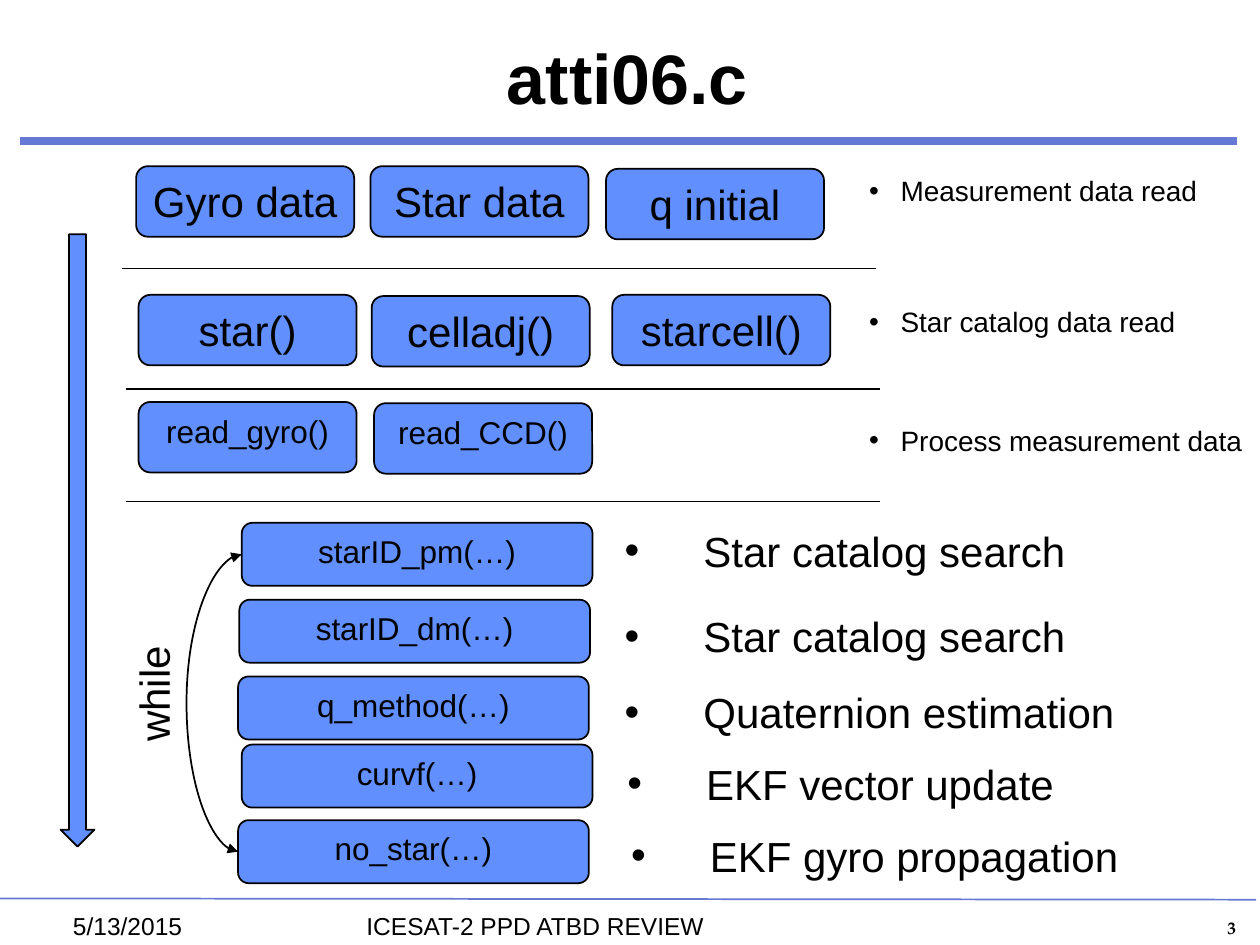
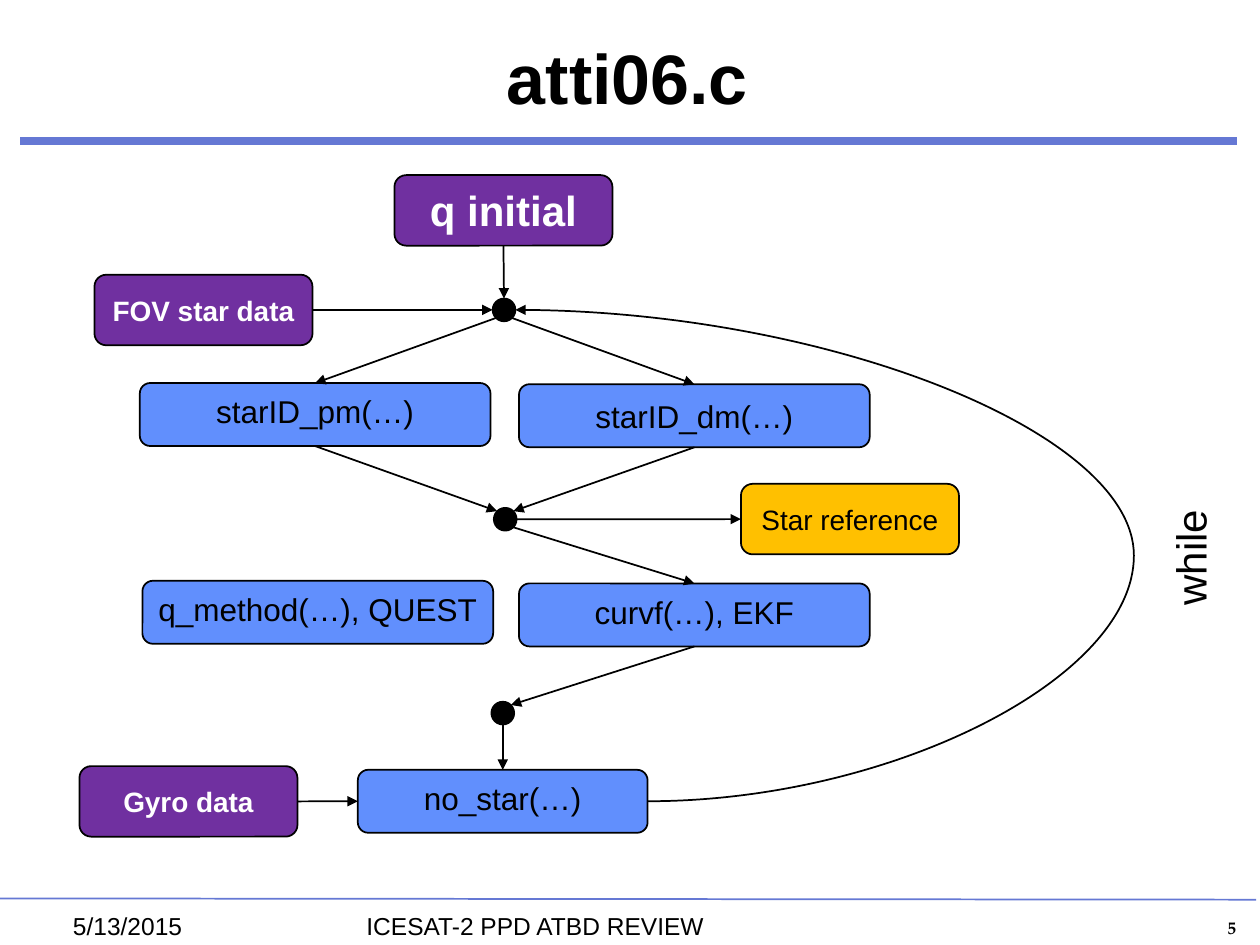
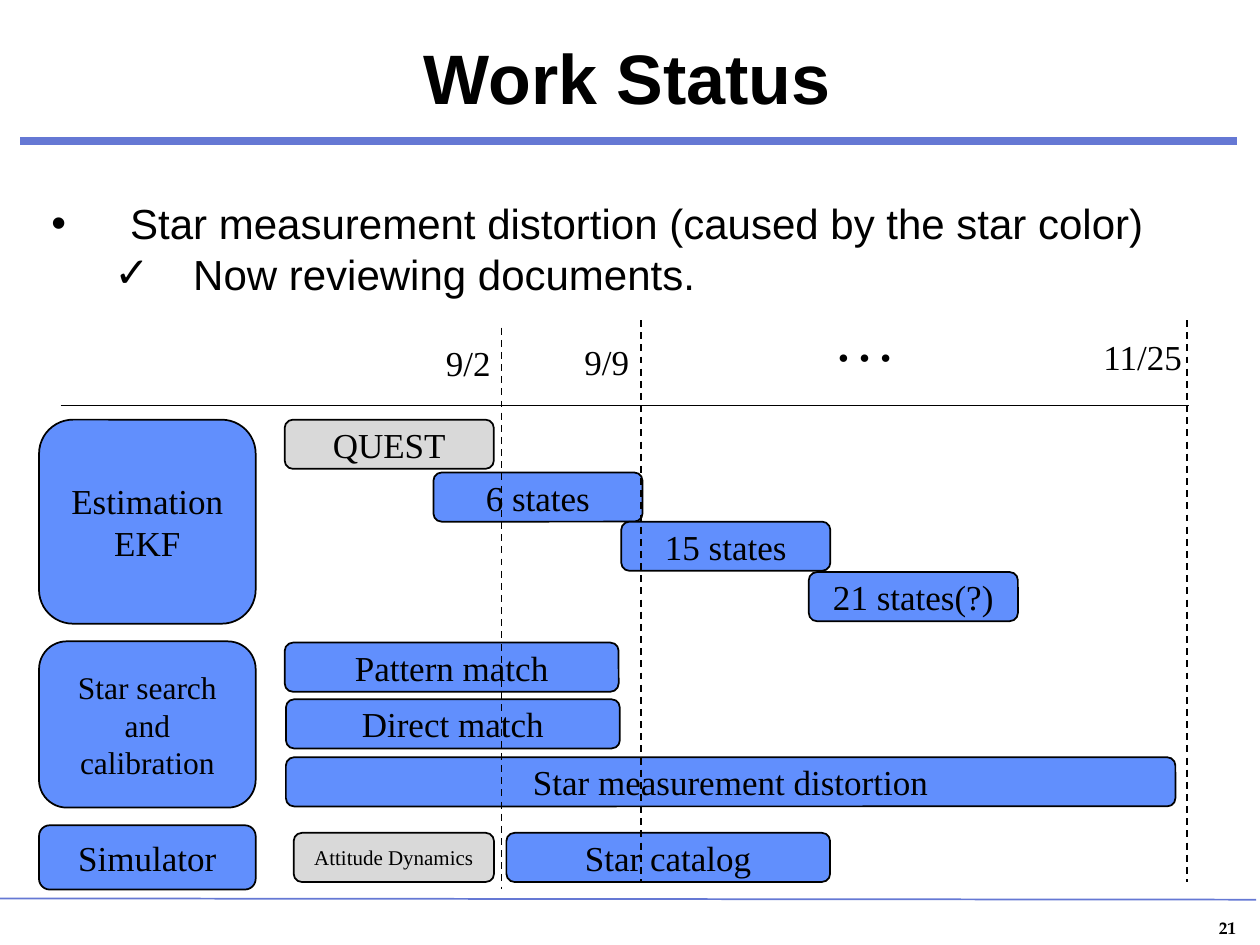
"""Build three slides on the attitude program: stages, flow and work status."""
from dataclasses import dataclass

from lxml import etree
from pptx import Presentation
from pptx.dml.color import RGBColor
from pptx.enum.dml import MSO_LINE
from pptx.enum.shapes import MSO_CONNECTOR, MSO_SHAPE
from pptx.enum.text import MSO_ANCHOR, MSO_AUTO_SIZE, PP_ALIGN
from pptx.oxml.ns import qn
from pptx.util import Pt

ROUNDED, DOT, DOWN = MSO_SHAPE.ROUNDED_RECTANGLE, MSO_SHAPE.OVAL, MSO_SHAPE.DOWN_ARROW
STRAIGHT, CURVE = MSO_CONNECTOR.STRAIGHT, MSO_CONNECTOR.CURVE
LEFT, CENTER, RIGHT = PP_ALIGN.LEFT, PP_ALIGN.CENTER, PP_ALIGN.RIGHT
TOP, MIDDLE = MSO_ANCHOR.TOP, MSO_ANCHOR.MIDDLE


@dataclass(frozen=True)
class Theme:
    black: str = "000000"
    white: str = "FFFFFF"
    band: str = "6578D4"
    blue: str = "618FFD"
    purple: str = "7030A0"
    amber: str = "FFC000"
    grey: str = "D9D9D9"
    sans: str = "Arial"
    serif: str = "Times New Roman"
    number_font: str = "TeX Gyre Pagella"
    title: int = 40
    ellipsis: int = 36
    large: int = 24
    chart: int = 20
    body: int = 18
    note: int = 16
    footer: int = 14
    small: int = 12
    number: int = 10


THEME = Theme()
DATA_SIZE = (124.6, 40.3)
CALL_SIZE = (200.4, 36)
DOT_SIZE = (13, 13)
BAR_HEIGHT = 28.1
GROUP_LEFT, GROUP_WIDTH = 22.3, 123.8
WIDE_INDENT, NARROW_INDENT = 45, 18

FOOTERS = [("ICESAT-2 PPD ATBD REVIEW", (202.3, 517, 223.2, 20.9)),
           ("5/13/2015", (34.6, 517, 90, 21.6))]

STAGE_BOXES = [
    ("Gyro data", 77.8, 95, THEME.large), ("Star data", 211.7, 95, THEME.large),
    ("q initial", 346.3, 96.5, THEME.large), ("star()", 79.2, 168.5, THEME.large),
    ("celladj()", 212.4, 169.2, THEME.large), ("starcell()", 349.9, 168.5, THEME.large),
    ("read_gyro()", 79.2, 229.7, THEME.body), ("read_CCD()", 213.8, 230.4, THEME.body),
]
STAGE_NOTES = [("Measurement data read", 95.8), ("Star catalog data read", 170.6),
               ("Process measurement data", 238.3)]
STAGE_RULES = [(69.8, 153.4), (72, 222.5), (72, 286.6)]
RULE_LENGTH = 430.6
LOOP_CALLS = [
    ("starID_pm(…)", 138.2, 298.8), ("starID_dm(…)", 136.8, 342.7),
    ("q_method(…)", 136.1, 386.6), ("curvf(…)", 138.2, 425.5), ("no_star(…)", 136.1, 468.7),
]
LOOP_NOTES = [
    ("Star catalog search", 349.9, 296.6, 275.8), ("Star catalog search", 349.9, 345.6, 268.6),
    ("Quaternion estimation", 349.9, 388.8, 297.4), ("EKF vector update", 351.4, 429.8, 260.6),
    ("EKF gyro propagation", 353.5, 470.9, 295.9),
]

FLOW_INPUTS = [
    ("FOV star data", 54, 157, THEME.note, MIDDLE),
    ("q initial", 225.4, 100.1, THEME.large, TOP),
    ("Gyro data", 45.4, 437.8, THEME.note, MIDDLE),
]
FLOW_CALLS = [
    ("starID_pm(…)", 79.9, 218.9, 200.4, TOP), ("starID_dm(…)", 296.6, 219.6, 200.4, MIDDLE),
    ("q_method(…), QUEST", 81.4, 331.9, 200.4, TOP), ("curvf(…), EKF", 296.6, 333.4, 200.4, TOP),
    ("no_star(…)", 204.5, 439.9, 165.6, TOP),
]
FLOW_DOTS = [("search", 281.5, 170.6), ("estimate", 282.2, 290.2), ("propagate", 280.8, 401)]
FLOW_ARROWS = [
    ("q initial", "bottom", "search", "top"),
    ("FOV star data", "right", "search", "left"),
    ("search", "bottom left", "starID_pm(…)", "top"),
    ("search", "bottom right", "starID_dm(…)", "top"),
    ("starID_pm(…)", "bottom", "estimate", "top left"),
    ("starID_dm(…)", "bottom", "estimate", "top right"),
    ("estimate", "right", "Star reference", "left"),
    ("estimate", "bottom right", "curvf(…), EKF", "top"),
    ("Gyro data", "right", "no_star(…)", "left"),
    ("curvf(…), EKF", "bottom", "propagate", "top right"),
    ("propagate", "bottom", "no_star(…)", "top"),
]

STATUS_BULLETS = [("Star measurement distortion (caused by the star color)", "•", WIDE_INDENT),
                  ("Now reviewing documents.", "✓", 81)]
STATUS_GROUPS = [
    ("Estimation\nEKF", 239.8, 116.6, THEME.chart),
    ("Star search and calibration", 366.5, 95, THEME.body),
    ("Simulator", 471.6, 36.7, THEME.chart),
]
STATUS_BARS = [
    ("QUEST", 162.7, 239.8, 119.5, THEME.grey, THEME.chart),
    ("6 states", 247.7, 270, 119.5, THEME.blue, THEME.chart),
    ("15 states", 355, 298.1, 119.5, THEME.blue, THEME.chart),
    ("21 states(?)", 462.2, 326.9, 119.5, THEME.blue, THEME.chart),
    ("Pattern match", 162.7, 367.2, 190.8, THEME.blue, THEME.chart),
    ("Direct match", 163.4, 399.6, 190.8, THEME.blue, THEME.chart),
    ("Star measurement distortion", 163.4, 432.7, 508.3, THEME.blue, THEME.chart),
    ("Attitude Dynamics", 167.8, 475.9, 114.5, THEME.grey, THEME.small),
    ("Star catalog", 289.4, 475.9, 185, THEME.blue, THEME.chart),
]
DEADLINES = [(286.6, 187.2), (366.5, 182.9), (678.2, 182.9)]
DEADLINE_LENGTH = 321.1
DATES = [
    ("9/2", (247.7, 191.5, 40.3, 31.7), THEME.chart),
    ("9/9", (326.9, 190.8, 40.3, 31.7), THEME.chart),
    ("…", (469.4, 167, 51.1, 51.1), THEME.ellipsis),
    ("11/25", (623.5, 187.9, 59.8, 31.7), THEME.chart),
]

SIDES = {"top": (0, -1), "left": (-1, 0), "bottom": (0, 1), "right": (1, 0)}
SITES = {side: number for number, side in enumerate(SIDES)}


def points(values):
    return [Pt(value) for value in values]


def write(para, text, size, font=THEME.sans, colour=THEME.black, bold=False, align=LEFT):
    para.alignment = align
    span = para.add_run()
    span.text = text
    span.font.size = Pt(size)
    span.font.name = font
    span.font.bold = bold
    span.font.color.rgb = RGBColor.from_string(colour)


def add_bullet(para, mark, margin, hanging):
    properties = para._p.get_or_add_pPr()
    properties.set("marL", str(Pt(margin)))
    properties.set("indent", str(-Pt(hanging)))
    etree.SubElement(properties, qn("a:buFont")).set("typeface", THEME.sans)
    etree.SubElement(properties, qn("a:buChar")).set("char", mark)


def add_label(page, text, frame, size, wrap=True, anchor=TOP, **style):
    box = page.shapes.add_textbox(*points(frame))
    box.text_frame.word_wrap = wrap
    box.text_frame.auto_size = MSO_AUTO_SIZE.NONE if wrap else MSO_AUTO_SIZE.SHAPE_TO_FIT_TEXT
    box.text_frame.vertical_anchor = anchor
    write(box.text_frame.paragraphs[0], text, size, **style)
    return box


def add_block(page, kind, frame, fill):
    block = page.shapes.add_shape(kind, *points(frame))
    block.shadow.inherit = False
    block.fill.solid()
    block.fill.fore_color.rgb = RGBColor.from_string(fill)
    block.line.color.rgb = RGBColor.from_string(THEME.black)
    block.line.width = Pt(1)
    return block


def add_box(page, text, frame, size, fill=THEME.blue, anchor=TOP, **style):
    box = add_block(page, ROUNDED, frame, fill)
    box.text_frame.word_wrap = True
    box.text_frame.vertical_anchor = anchor
    for index, line in enumerate(text.split("\n")):
        para = box.text_frame.add_paragraph() if index else box.text_frame.paragraphs[0]
        write(para, line, size, align=CENTER, **style)
    return box


def add_line(page, start, end, kind=STRAIGHT, colour=THEME.black, width=1, dashed=False, ends=()):
    line = page.shapes.add_connector(kind, *start, *end)
    line.line.color.rgb = RGBColor.from_string(colour)
    line.line.width = Pt(width)
    if dashed:
        line.line.dash_style = MSO_LINE.DASH
    outline = line.line._get_or_add_ln()
    for tip in ends:
        etree.SubElement(outline, qn(f"a:{tip}")).set("type", "triangle")
    etree.SubElement(line._element.spPr, qn("a:effectLst"))
    return line


def add_curve(page, start, end, turn, ends):
    curve = add_line(page, start, end, CURVE, ends=ends)
    bend = round((Pt(turn) - start[0]) / (end[0] - start[0]) * 100000)
    guides = curve._element.spPr.find(qn("a:prstGeom")).get_or_add_avLst()
    guide = etree.SubElement(guides, qn("a:gd"))
    guide.set("name", "adj1")
    guide.set("fmla", f"val {bend}")


def edge_point(shape, place):
    steps = [SIDES[side] for side in place.split()]
    reach = 0.71 if len(steps) == 2 else 1
    across, down = (sum(axis) * reach for axis in zip(*steps))
    return (round(shape.left + shape.width * (1 + across) / 2),
            round(shape.top + shape.height * (1 + down) / 2))


def add_page(deck, title, number, footers=()):
    page = deck.slides.add_slide(deck.slide_layouts[6])
    add_line(page, points((11.5, 80.6)), points((707, 80.6)), colour=THEME.band, width=4.5)
    add_line(page, points((0, 513.4)), points((717.8, 514.1)), colour=THEME.band)
    add_label(page, number, (641.5, 520.6, 72, 19.4), THEME.number,
              font=THEME.number_font, bold=True, align=RIGHT)
    heading = add_label(page, title, (105.8, 17.3, 505.4, 60.5), THEME.title,
                        anchor=MIDDLE, bold=True, align=CENTER)
    heading.text_frame.paragraphs[0].line_spacing = 0.85
    for text, frame in footers:
        add_label(page, text, frame, THEME.footer)
    return page


def add_while(page, left, top):
    add_label(page, "while", (left, top, 69.8, 36), THEME.large, wrap=False).rotation = 270


def build_stages(deck):
    page = add_page(deck, "atti06.c", "3", FOOTERS)
    for text, left, top, size in STAGE_BOXES:
        add_box(page, text, (left, top, *DATA_SIZE), size)
    for text, top in STAGE_NOTES:
        note = add_label(page, text, (489.6, top, 244.8, 26.6), THEME.note)
        add_bullet(note.text_frame.paragraphs[0], "•", NARROW_INDENT, NARROW_INDENT)
    for left, top in STAGE_RULES:
        add_line(page, points((left, top)), points((left + RULE_LENGTH, top)))
    add_block(page, DOWN, (34.6, 133.9, 19.4, 349.9), THEME.blue)
    calls = [add_box(page, text, (left, top, *CALL_SIZE), THEME.body)
             for text, left, top in LOOP_CALLS]
    for text, left, top, width in LOOP_NOTES:
        note = add_label(page, text, (left, top, width, 36), THEME.large, wrap=False)
        add_bullet(note.text_frame.paragraphs[0], "•", WIDE_INDENT, WIDE_INDENT)
    add_curve(page, edge_point(calls[0], "left"), edge_point(calls[-1], "left"),
              106.6, ("headEnd", "tailEnd"))
    add_while(page, 52.6, 378)


def build_flow(deck):
    page = add_page(deck, "atti06.c", "5", FOOTERS)
    boxes, dots = {}, {}
    for text, left, top, size, anchor in FLOW_INPUTS:
        boxes[text] = add_box(page, text, (left, top, *DATA_SIZE), size, THEME.purple, anchor,
                              colour=THEME.white, bold=True)
    for text, left, top, width, anchor in FLOW_CALLS:
        boxes[text] = add_box(page, text, (left, top, width, CALL_SIZE[1]), THEME.body,
                              anchor=anchor)
    boxes["Star reference"] = add_box(page, "Star reference", (423.4, 276.5, *DATA_SIZE),
                                      THEME.note, THEME.amber, MIDDLE)
    for name, left, top in FLOW_DOTS:
        dots[name] = add_block(page, DOT, (left, top, *DOT_SIZE), THEME.black)
    nodes = boxes | dots
    for source, leave, target, enter in FLOW_ARROWS:
        arrow = add_line(page, edge_point(nodes[source], leave),
                         edge_point(nodes[target], enter), ends=("tailEnd",))
        if source in boxes:
            arrow.begin_connect(boxes[source], SITES[leave])
        if target in boxes:
            arrow.end_connect(boxes[target], SITES[enter])
    add_curve(page, edge_point(boxes["no_star(…)"], "right"),
              edge_point(dots["search"], "right"), 648, ("tailEnd",))
    add_while(page, 645.1, 300.2)


def build_status(deck):
    page = add_page(deck, "Work Status", "21")
    (first, mark, margin), (second, tick, inner) = STATUS_BULLETS
    box = add_label(page, first, (22.3, 109.4, 645.1, 65.5), THEME.large, wrap=False)
    add_bullet(box.text_frame.paragraphs[0], mark, margin, WIDE_INDENT)
    para = box.text_frame.add_paragraph()
    para.level = 1
    write(para, second, THEME.large)
    add_bullet(para, tick, inner, WIDE_INDENT)
    for text, top, height, size in STATUS_GROUPS:
        add_box(page, text, (GROUP_LEFT, top, GROUP_WIDTH, height), size,
                anchor=MIDDLE, font=THEME.serif)
    add_line(page, points((34.6, 231.8)), points((679.7, 231.8)))
    for text, left, top, width, fill, size in STATUS_BARS:
        add_box(page, text, (left, top, width, BAR_HEIGHT), size, fill, MIDDLE, font=THEME.serif)
    for left, top in DEADLINES:
        add_line(page, points((left, top)), points((left, top + DEADLINE_LENGTH)), dashed=True)
    for text, frame, size in DATES:
        add_label(page, text, frame, size, wrap=False, font=THEME.serif)


def main():
    deck = Presentation()
    deck.slide_width, deck.slide_height = points((720, 540))
    build_stages(deck)
    build_flow(deck)
    build_status(deck)
    deck.save("out.pptx")


if __name__ == "__main__":
    main()
